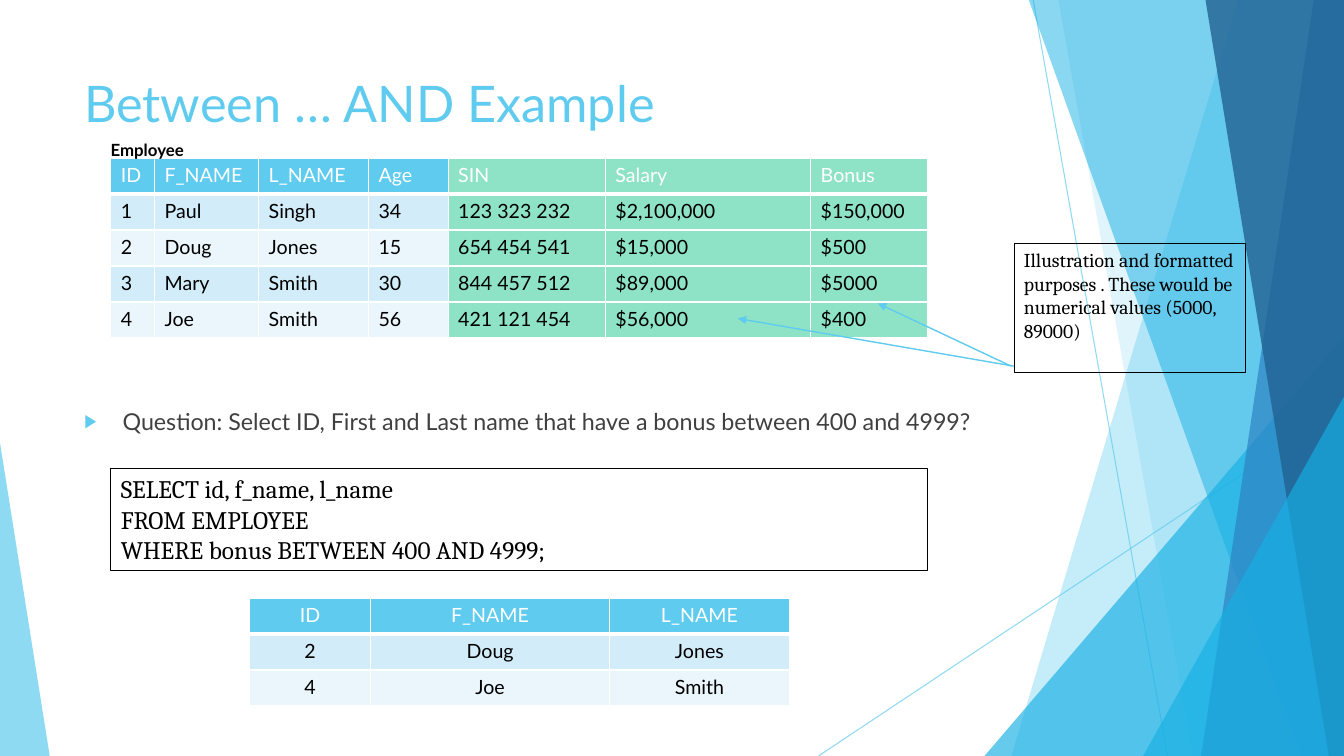
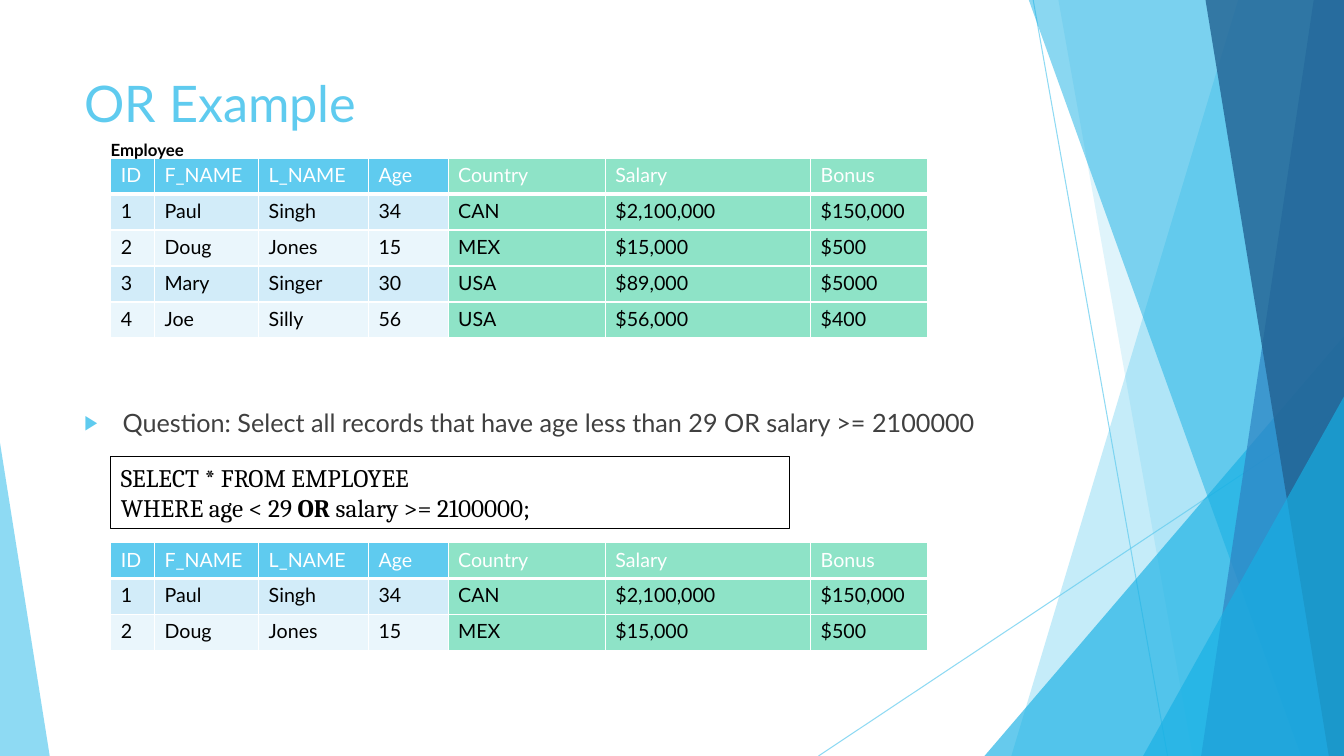
import lxml.etree
import pptx
import pptx.dml.color
import pptx.enum.shapes
import pptx.enum.text
import pptx.oxml.ns
import pptx.util

COLUMNS, ROWS = 40, 22.5
CELL = pptx.util.Inches(1 / 3)

SKY, CYAN, BLUE, NAVY = "5FCBEF", "17B0E4", "2E83C3", "226292"
MINT, ROW_DARK, ROW_LIGHT = "8EE3C7", "D2ECF9", "EAF6FC"
WHITE, BLACK, GREY = "FFFFFF", "000000", "404040"
SANS, SERIF = "Lato", "Cambria"

EMPLOYEE_LEFT = 3.3
EMPLOYEE_COLUMNS = (1.3, 3.1, 3.27, 2.37, 4.68, 6.11, 3.47)
ROW_HEIGHT = 1.07


def color(value):
    return pptx.dml.color.RGBColor.from_string(value)


def grid(*lengths):
    """Turn grid units into slide lengths."""
    return [pptx.util.Emu(round(length * CELL)) for length in lengths]


def add_xml(parent, tag, **attributes):
    return lxml.etree.SubElement(
        parent, pptx.oxml.ns.qn(tag), {name: str(value) for name, value in attributes.items()})


def set_opacity(shape, percent):
    add_xml(shape.element.xpath(".//a:srgbClr")[0], "a:alpha", val=percent * 1000)


class Deck:
    def __init__(self):
        self.presentation = pptx.Presentation()
        self.presentation.slide_width, self.presentation.slide_height = grid(COLUMNS, ROWS)
        self.layout = self.presentation.slide_layouts[1]
        self.slide = None

    def start(self, title, question, question_size):
        self.slide = self.presentation.slides.add_slide(self.layout)
        heading, body = self.slide.placeholders
        self.place(heading, 2.21, 2, 28.2, 4.32)
        self.fill_text(heading.text_frame, [title], 36, SANS, SKY)
        self.place(body, 2.21, 11.97, 28.2, 1.9)
        self.fill_text(body.text_frame, [question], question_size, SANS, GREY)
        self.bullet(body.text_frame.paragraphs[0])

    def place(self, shape, *box):
        shape.left, shape.top, shape.width, shape.height = grid(*box)

    def bullet(self, paragraph):
        paragraph.space_before = pptx.util.Pt(10)
        properties = paragraph._p.get_or_add_pPr()
        indent = pptx.util.Inches(0.38)
        properties.set("marL", str(indent))
        properties.set("indent", str(-indent))
        add_xml(add_xml(properties, "a:buClr"), "a:srgbClr", val=SKY)
        add_xml(properties, "a:buSzPct", val=80000)
        add_xml(properties, "a:buChar", char="▶")

    def fill_text(self, frame, lines, size, font, ink, bold=False):
        """Fill in one paragraph a line; in a tuple every second part is bold."""
        frame.word_wrap = True
        frame.auto_size = pptx.enum.text.MSO_AUTO_SIZE.NONE
        frame.vertical_anchor = pptx.enum.text.MSO_ANCHOR.TOP
        for index, line in enumerate(lines):
            paragraph = frame.add_paragraph() if index else frame.paragraphs[0]
            paragraph.alignment = pptx.enum.text.PP_ALIGN.LEFT
            for part, words in enumerate((line,) if isinstance(line, str) else line):
                run = paragraph.add_run()
                run.text = words
                self.style_font(run.font, size, font, ink, bold or part % 2 == 1)

    def style_font(self, font, size, name, ink, bold=False):
        font.size = pptx.util.Pt(size)
        font.name = name
        font.bold = bold
        font.color.rgb = color(ink)

    def label(self, text, *box):
        shape = self.slide.shapes.add_textbox(*grid(*box))
        self.fill_text(shape.text_frame, [text], 12, SANS, BLACK, bold=True)

    def frame(self, lines, size, *box):
        """Add a box with a thin black outline and no fill."""
        shape = self.slide.shapes.add_shape(
            pptx.enum.shapes.MSO_SHAPE.RECTANGLE, *grid(*box))
        shape.shadow.inherit = False
        shape.fill.background()
        shape.line.color.rgb = color(BLACK)
        shape.line.width = pptx.util.Pt(0.75)
        self.fill_text(shape.text_frame, lines, size, SERIF, BLACK)

    def line(self, shapes, start, end, width):
        connector = shapes.add_connector(
            pptx.enum.shapes.MSO_CONNECTOR.STRAIGHT, *grid(*start, *end))
        connector.line.color.rgb = color(SKY)
        connector.line.width = pptx.util.Pt(width)
        add_xml(connector.element.spPr, "a:effectLst")
        return connector

    def arrow(self, start, end):
        connector = self.line(self.slide.shapes, start, end, 1)
        add_xml(connector.element.xpath(".//a:ln")[0], "a:tailEnd", type="triangle")

    def table(self, left, top, columns, records, centered=False):
        """Add a table whose columns from the fifth on are mint."""
        shape = self.slide.shapes.add_table(
            len(records), len(columns),
            *grid(left, top, sum(columns), ROW_HEIGHT * len(records)))
        for column, width in zip(shape.table.columns, grid(*columns)):
            column.width = width
        for row, record in enumerate(records):
            band = ROW_DARK if row % 2 else ROW_LIGHT
            for column, text in enumerate(record):
                cell = shape.table.cell(row, column)
                cell.fill.solid()
                cell.fill.fore_color.rgb = color(
                    MINT if column >= 4 else band if row else SKY)
                self.cell_text(cell, text, BLACK if row else WHITE, centered)
                self.cell_borders(cell, bottom=1 if row else 3)

    def cell_text(self, cell, text, ink, centered):
        cell.text_frame.text = text
        paragraph = cell.text_frame.paragraphs[0]
        if centered:
            paragraph.alignment = pptx.enum.text.PP_ALIGN.CENTER
        self.style_font(paragraph.runs[0].font, 14, SANS, ink)

    def cell_borders(self, cell, bottom):
        properties = cell._tc.get_or_add_tcPr()
        sides = {"a:lnL": 1, "a:lnR": 1, "a:lnT": 1, "a:lnB": bottom}
        for index, (tag, width) in enumerate(sides.items()):
            border = add_xml(properties, tag, w=pptx.util.Pt(width))
            add_xml(add_xml(border, "a:solidFill"), "a:srgbClr", val=WHITE)
            properties.insert(index, border)

    def facet(self, shape, fill, opacity):
        shape.shadow.inherit = False
        shape.fill.solid()
        shape.fill.fore_color.rgb = color(fill)
        set_opacity(shape, opacity)
        shape.line.fill.background()

    def band(self, shapes, top_x, bottom_x, fill, opacity):
        """Fill from a slanted left edge to the right side of the slide."""
        corners = [(top_x, 0), (COLUMNS, 0), (COLUMNS, ROWS), (bottom_x, ROWS)]
        start, *others = [grid(*corner) for corner in corners]
        builder = shapes.build_freeform(*start, scale=1.0)
        builder.add_line_segments(others, close=True)
        self.facet(builder.convert_to_shape(), fill, opacity)

    def triangle(self, shapes, left, right, top, apex, fill, opacity):
        """Add a triangle that stands on the bottom of the slide."""
        shape = shapes.add_shape(
            pptx.enum.shapes.MSO_SHAPE.ISOSCELES_TRIANGLE,
            *grid(left, top, right - left, ROWS - top))
        shape.adjustments[0] = apex
        self.facet(shape, fill, opacity)

    def decorate_layout(self):
        """Draw the facets as a group and move it behind the layout's placeholders."""
        group = self.slide.shapes.add_group_shape()
        shapes = group.shapes
        for start, end in (((30.75, 0), (34.75, ROWS)), ((COLUMNS, 12.1), (24.36, ROWS))):
            set_opacity(self.line(shapes, start, end, 0.75), 70)
        self.band(shapes, 36.85, 30.1, SKY, 36)
        self.band(shapes, 31.5, 35.5, SKY, 20)
        self.triangle(shapes, 29.3, COLUMNS, 10, 1, CYAN, 66)
        self.band(shapes, 30.62, 38.72, CYAN, 50)
        self.band(shapes, 39.1, 35.75, BLUE, 70)
        self.band(shapes, 35.88, 39.55, NAVY, 80)
        self.triangle(shapes, 34.02, COLUMNS, 11.8, 1, CYAN, 66)
        self.triangle(shapes, 0, 1.48, 13.18, 0, SKY, 70)
        for number, properties in enumerate(group.element.xpath(".//p:cNvPr"), 100):
            properties.set("id", str(number))
        self.layout.shapes.element.insert(2, group.element)

    def employees(self, top, records):
        self.table(EMPLOYEE_LEFT, top, EMPLOYEE_COLUMNS, records)

    def employee_source(self, records):
        self.employees(4.71, records)
        self.label("Employee", 3, 4.02, 6.45, 0.91)


def employee_records(fifth_heading, last_names, fifth_values):
    header = ("ID", "F_NAME", "L_NAME", "Age", fifth_heading, "Salary", "Bonus")
    columns = zip(
        "1234", ("Paul", "Doug", "Mary", "Joe"), last_names, ("34", "15", "30", "56"),
        fifth_values, ("$2,100,000", "$15,000", "$89,000", "$56,000"),
        ("$150,000", "$500", "$5000", "$400"))
    return [header, *columns]


def between_slide(deck):
    deck.start("Between … AND Example",
               "Question: Select ID, First and Last name that have a bonus "
               "between 400 and 4999?", 16.6)
    deck.decorate_layout()
    records = employee_records(
        "SIN", ("Singh", "Jones", "Smith", "Smith"),
        ("123 323 232", "654 454 541", "844 457 512", "421 121 454"))
    deck.employee_source(records)
    deck.arrow((30.1, 10.9), (26.13, 9.03))
    deck.arrow((30.18, 10.9), (21.96, 9.48))
    deck.frame(["Illustration and formatted purposes . These would be "
                "numerical values (5000, 89000)"], 14, 30.18, 7.24, 6.88, 3.85)
    deck.frame(["SELECT id, f_name, l_name", "FROM EMPLOYEE",
                "WHERE bonus BETWEEN 400 AND 4999;"],
               18, EMPLOYEE_LEFT, 13.95, sum(EMPLOYEE_COLUMNS), 3.03)
    matches = [records[row][:3] for row in (0, 2, 4)]
    deck.table(7.42, 17.8, (3.62, 7.1, 5.36), matches, centered=True)


def or_slide(deck):
    deck.start("OR Example",
               "Question: Select all records that have age less than 29 "
               "OR salary >= 2100000", 18)
    records = employee_records(
        "Country", ("Singh", "Jones", "Singer", "Silly"), ("CAN", "MEX", "USA", "USA"))
    deck.employee_source(records)
    deck.frame(["SELECT * FROM EMPLOYEE",
                ("WHERE age < 29 ", "OR", " salary >= 2100000;")],
               18, EMPLOYEE_LEFT, 13.6, 20.2, 2.12)
    deck.employees(16.15, records[:3])


def main():
    deck = Deck()
    between_slide(deck)
    or_slide(deck)
    deck.presentation.save("out.pptx")


if __name__ == "__main__":
    main()
